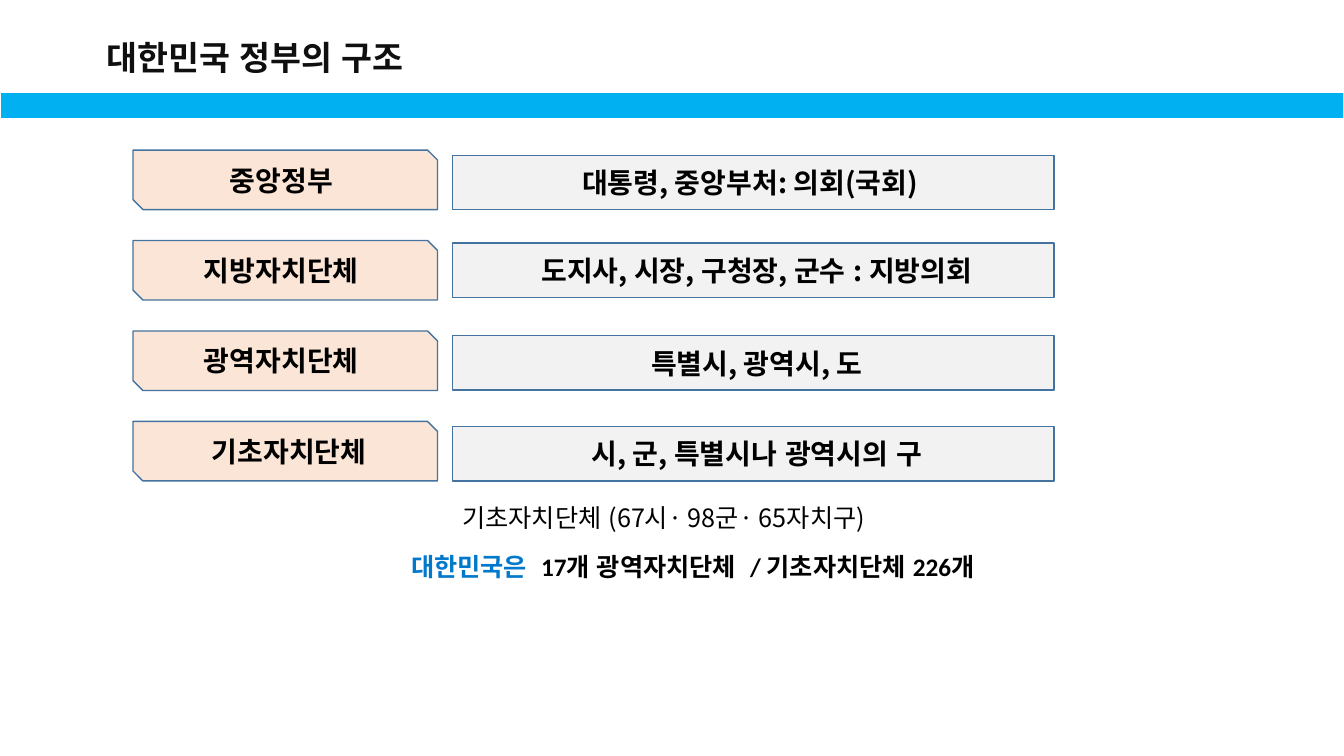
from lxml import etree
from pptx import Presentation
from pptx.dml.color import RGBColor
from pptx.enum.lang import MSO_LANGUAGE_ID
from pptx.enum.shapes import MSO_SHAPE
from pptx.enum.text import MSO_ANCHOR, PP_ALIGN
from pptx.oxml.ns import qn
from pptx.util import Pt

RECT, SNIPPED = MSO_SHAPE.RECTANGLE, MSO_SHAPE.SNIP_2_DIAG_RECTANGLE
MIDDLE, CENTER, LEFT = MSO_ANCHOR.MIDDLE, PP_ALIGN.CENTER, PP_ALIGN.LEFT
KOREAN = MSO_LANGUAGE_ID.KOREAN

# Content: a run is (text, size, bold, font, colour)
KR = "Noto Sans CJK KR"
COLORS = {
    "band": "00B0F0", "white": "FFFFFF", "title": "0F0F0F", "text": "000000",
    "accent": "0078CB", "label": "FBE5D6", "detail": "F2F2F2", "border": "43739E",
}
TITLE = [("대한민국 정부의 구조", 24, True, "Open Sans", "title")]
# label, lead space before the detail, detail, top of the detail box
LEVELS = [
    ("중앙정부 ", "", "대통령, 중앙부처: 의회(국회) ", 110.9),
    ("지방자치단체 ", " ", "도지사, 시장, 구청장, 군수 : 지방의회", 173.6),
    ("광역자치단체 ", " ", "특별시, 광역시, 도", 239.8),
    (" 기초자치단체", " ", "시, 군, 특별시나 광역시의 구", 304.6),
]
COUNTS = [("기초자치단체 (67시· 98군· 65자치구)", 18, False, KR, "text")]
SUMMARY = [
    ("대한민국은  ", 18, True, "Calibri", "accent"),
    ("17개 광역자치단체  / 기초자치단체 226개", 18, True, "Calibri", "text"),
]

# Layout in points
SLIDE_W, SLIDE_H = 960, 540
LABEL_X, LABEL_W, LABEL_H = 95, 217.5, 42.5
LABEL_TOP, LABEL_STEP = 107.2, 64.6
DETAIL_X, DETAIL_W, DETAIL_H = 323.2, 429.8, 38.9
SUMMARY_X = 286.6


def color(key):
    return RGBColor.from_string(COLORS[key])


def write(frame, runs, align):
    frame.word_wrap = True
    paragraph = frame.paragraphs[0]
    paragraph.alignment = align
    for text, size, bold, font_name, key in runs:
        run = paragraph.add_run()
        run.text = text
        font = run.font
        font.size, font.bold, font.name = Pt(size), bold, font_name
        font.color.rgb = color(key)
        font.language_id = KOREAN
        # Hangul font
        latin = run._r.rPr.find(qn("a:latin"))
        hangul = etree.Element(qn("a:ea"))
        hangul.set("typeface", KR)
        latin.addnext(hangul)


def add_box(kind, box, fill, line, width, runs=()):
    shape = slide.shapes.add_shape(kind, *map(Pt, box))
    shape.shadow.inherit = False
    shape.fill.solid()
    shape.fill.fore_color.rgb = color(fill)
    shape.line.color.rgb = color(line)
    shape.line.width = Pt(width)
    shape.text_frame.vertical_anchor = MIDDLE
    write(shape.text_frame, runs, CENTER)


def add_text(box, runs):
    write(slide.shapes.add_textbox(*map(Pt, box)).text_frame, runs, LEFT)


prs = Presentation()
prs.slide_width, prs.slide_height = Pt(SLIDE_W), Pt(SLIDE_H)
slide = prs.slides.add_slide(prs.slide_layouts[6])

# Header
add_box(RECT, (0, 66.3, SLIDE_W, 18.5), "band", "white", 0.75)
add_text((69.1, 23, 260, 36), TITLE)

# Levels of government
for row, (label, lead, detail, detail_top) in enumerate(LEVELS):
    label_top = LABEL_TOP + row * LABEL_STEP
    add_box(SNIPPED, (LABEL_X, label_top, LABEL_W, LABEL_H), "label", "border", 1,
            [(label, 20, True, KR, "text")])
    detail_runs = [(lead, 18, False, KR, "text")] if lead else []
    detail_runs.append((detail, 20, True, KR, "text"))
    add_box(RECT, (DETAIL_X, detail_top, DETAIL_W, DETAIL_H), "detail", "border", 1,
            detail_runs)

# Totals
add_text((DETAIL_X, 355, DETAIL_W, 29), COUNTS)
add_text((SUMMARY_X, 390.2, DETAIL_X + DETAIL_W - SUMMARY_X, 29), SUMMARY)

prs.save("out.pptx")
